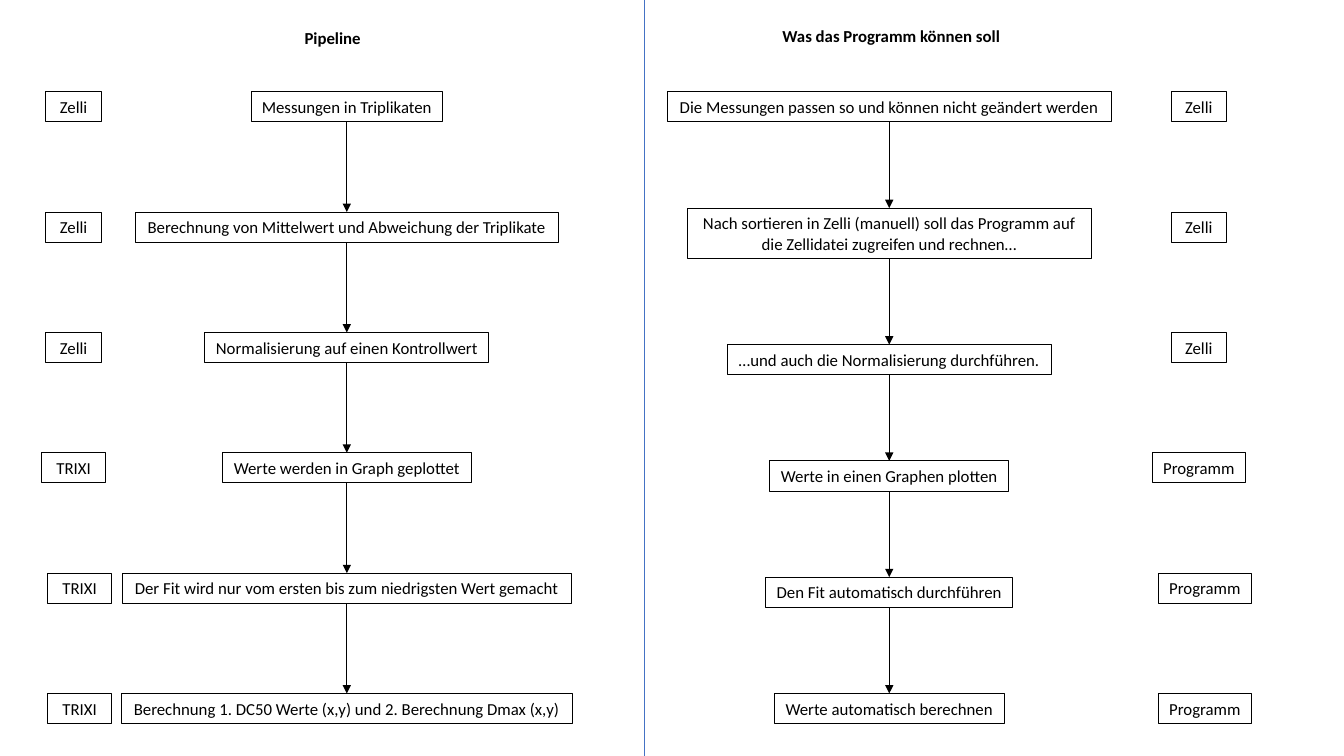
from dataclasses import dataclass
from itertools import pairwise

from lxml.etree import SubElement
from pptx import Presentation
from pptx.dml.color import RGBColor
from pptx.enum.shapes import MSO_CONNECTOR, MSO_SHAPE
from pptx.enum.text import MSO_ANCHOR, MSO_AUTO_SIZE, PP_ALIGN
from pptx.oxml.ns import qn
from pptx.shapes.autoshape import Shape
from pptx.shapes.connector import Connector
from pptx.slide import Slide
from pptx.util import Inches, Pt


@dataclass(frozen=True)
class Theme:
    """Colours, font and line widths of the slide."""
    ink: RGBColor = RGBColor(0x00, 0x00, 0x00)
    divider: RGBColor = RGBColor(0x44, 0x72, 0xC4)
    font: str = "Calibri"
    size: Pt = Pt(12)
    border: Pt = Pt(0.75)
    thin: Pt = Pt(0.5)


@dataclass(frozen=True)
class Box:
    """A bordered label; shift moves it sideways from its column's centre."""
    text: str
    width: float
    height: float = 0.3
    shift: float = 0.0


@dataclass(frozen=True)
class Column:
    """Boxes stacked around one vertical axis, joined by arrows if linked."""
    center: float
    boxes: list[Box]
    linked: bool = False


THEME = Theme()
SLIDE_WIDTH, SLIDE_HEIGHT = 13.33, 7.5
STACK_TOP, STACK_BOTTOM = 0.91, 7.18
DIVIDER_X = 6.39
LAST_ROWS_SHIFT = 0.06
SIDE_INSET = 0.05


def tool_boxes(early: Box, late: Box) -> list[Box]:
    """Name the tool of each step: one for three rows, another for three."""
    shifted = Box(late.text, late.width, shift=LAST_ROWS_SHIFT)
    return [early] * 3 + [late] + [shifted] * 2


SPREADSHEET = Box("Zelli", 0.55)
COLUMNS = [
    Column(3.44, [
        Box("Messungen in Triplikaten", 1.9),
        Box("Berechnung von Mittelwert und Abweichung der Triplikate", 4.19),
        Box("Normalisierung auf einen Kontrollwert", 2.82),
        Box("Werte werden in Graph geplottet", 2.47),
        Box("Der Fit wird nur vom ersten bis zum niedrigsten Wert gemacht", 4.45),
        Box("Berechnung 1. DC50 Werte (x,y) und 2. Berechnung Dmax (x,y)", 4.47),
    ], linked=True),
    Column(8.82, [
        Box("Die Messungen passen so und können nicht geändert werden", 4.4),
        Box("Nach sortieren in Zelli (manuell) soll das Programm auf\n"
            "die Zellidatei zugreifen und rechnen…", 4.01, height=0.5),
        Box("…und auch die Normalisierung durchführen.", 3.21),
        Box("Werte in einen Graphen plotten", 2.37),
        Box("Den Fit automatisch durchführen", 2.45),
        Box("Werte automatisch berechnen", 2.28),
    ], linked=True),
    Column(0.73, tool_boxes(SPREADSHEET, Box("TRIXI", 0.64))),
    Column(11.89, tool_boxes(SPREADSHEET, Box("Programm", 0.92))),
]


def write_text(shape: Shape, text: str, align: PP_ALIGN, bold: bool = False) -> None:
    """Fill a shape with unwrapped text, one paragraph per line."""
    frame = shape.text_frame
    frame.text = text
    frame.word_wrap = False
    frame.auto_size = MSO_AUTO_SIZE.NONE
    for paragraph in frame.paragraphs:
        paragraph.alignment = align
        paragraph.space_before = Pt(0)
        paragraph.font.name = THEME.font
        paragraph.font.size = THEME.size
        paragraph.font.bold = bold
        paragraph.font.color.rgb = THEME.ink


def place_heading(heading: Shape, text: str, left: float, top: float, width: float) -> None:
    """Move a placeholder above its column and write the heading."""
    heading.left, heading.top = Inches(left), Inches(top)
    heading.width, heading.height = Inches(width), Inches(0.3)
    heading.text_frame.vertical_anchor = MSO_ANCHOR.TOP
    write_text(heading, text, PP_ALIGN.LEFT, bold=True)


def draw_box(page: Slide, box: Box, center: float, top: float) -> Shape:
    """Draw one bordered box centred on its column."""
    left = center + box.shift - box.width / 2
    shape = page.shapes.add_shape(MSO_SHAPE.RECTANGLE, Inches(left), Inches(top),
                                  Inches(box.width), Inches(box.height))
    shape.shadow.inherit = False
    shape.fill.background()
    shape.line.color.rgb = THEME.ink
    shape.line.width = THEME.border
    shape.text_frame.margin_left = shape.text_frame.margin_right = Inches(SIDE_INSET)
    write_text(shape, box.text, PP_ALIGN.CENTER)
    return shape


def draw_line(page: Slide, x: float, top: float, bottom: float, color: RGBColor) -> Connector:
    """Draw a thin vertical line without a shadow."""
    line = page.shapes.add_connector(MSO_CONNECTOR.STRAIGHT, Inches(x), Inches(top),
                                     Inches(x), Inches(bottom))
    line.line.color.rgb = color
    line.line.width = THEME.thin
    SubElement(line._element.spPr, qn("a:effectLst"))
    return line


def draw_arrow(page: Slide, x: float, upper: Shape, lower: Shape) -> None:
    """Join the bottom of one box to the top of the next with an arrow."""
    arrow = draw_line(page, x, STACK_TOP, STACK_BOTTOM, THEME.ink)
    arrow.begin_connect(upper, 2)
    arrow.end_connect(lower, 0)
    SubElement(arrow.line._get_or_add_ln(), qn("a:tailEnd"), type="triangle")


def draw_column(page: Slide, column: Column) -> None:
    """Stack the boxes with equal gaps between the common top and bottom."""
    filled = sum(box.height for box in column.boxes)
    gap = (STACK_BOTTOM - STACK_TOP - filled) / (len(column.boxes) - 1)
    top = STACK_TOP
    shapes = []
    for box in column.boxes:
        shapes.append(draw_box(page, box, column.center, top))
        top += box.height + gap
    if column.linked:
        for upper, lower in pairwise(shapes):
            draw_arrow(page, column.center, upper, lower)


def build_deck() -> None:
    """Build and save the slide comparing the pipeline with the program."""
    deck = Presentation()
    deck.slide_width, deck.slide_height = Inches(SLIDE_WIDTH), Inches(SLIDE_HEIGHT)
    page = deck.slides.add_slide(deck.slide_layouts.get_by_name("Comparison"))
    for placeholder in list(page.placeholders):
        if placeholder.placeholder_format.idx > 1:
            placeholder._element.getparent().remove(placeholder._element)
    place_heading(page.shapes.title, "Pipeline", 2.92, 0.22, 0.77)
    place_heading(page.placeholders[1], "Was das Programm können soll", 7.66, 0.21, 2.39)
    for column in COLUMNS:
        draw_column(page, column)
    draw_line(page, DIVIDER_X, 0, SLIDE_HEIGHT, THEME.divider)
    deck.save("out.pptx")


build_deck()
